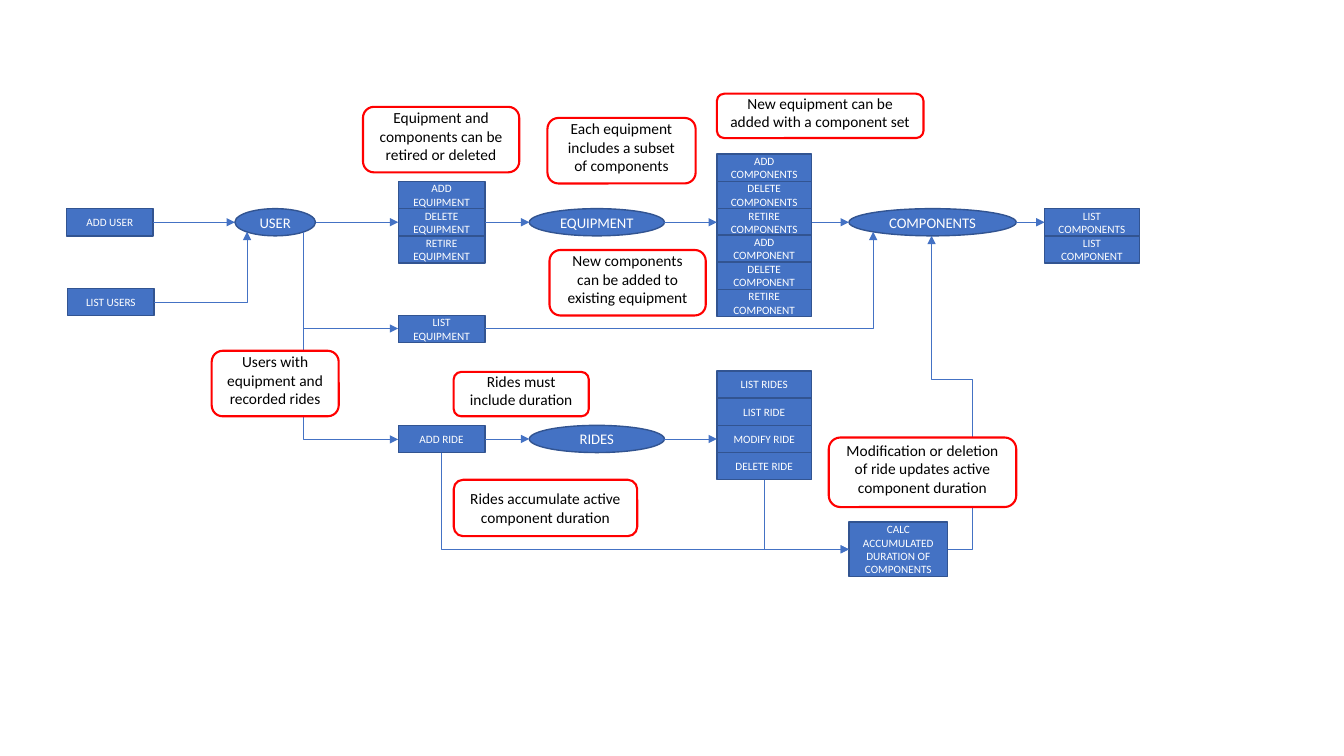
from lxml.etree import SubElement
from pptx import Presentation
from pptx.dml.color import RGBColor
from pptx.enum.shapes import MSO_CONNECTOR, MSO_SHAPE
from pptx.enum.text import MSO_ANCHOR, PP_ALIGN
from pptx.oxml.ns import qn
from pptx.util import Inches, Pt

BLUE, NAVY, RED, WHITE, BLACK = "4472C4", "325491", "FF0000", "FFFFFF", "000000"
ROW_H = 0.27
MAIN_ROW, RIDE_ROW = 2.07, 4.22
EQUIPMENT_X, COMPONENT_X = 3.95, 7.11
EQUIPMENT_W, COMPONENT_W = 0.86, 0.94


def rgb(color):
    return RGBColor.from_string(color)


def add_node(s, kind, text, x, y, w, h, size, fill=BLUE, line=NAVY, weight=1, color=WHITE):
    sp = s.shapes.add_shape(kind, Inches(x), Inches(y), Inches(w), Inches(h))
    sp.shadow.inherit = False
    sp.fill.solid()
    sp.fill.fore_color.rgb = rgb(fill)
    sp.line.color.rgb = rgb(line)
    sp.line.width = Pt(weight)
    tf = sp.text_frame
    tf.word_wrap = True
    tf.vertical_anchor = MSO_ANCHOR.MIDDLE
    p = tf.paragraphs[0]
    p.alignment = PP_ALIGN.CENTER
    r = p.add_run()
    r.text = text
    r.font.name = "Calibri"
    r.font.size = Pt(size)
    r.font.color.rgb = rgb(color)
    return sp


def add_box(s, text, x, y, w=EQUIPMENT_W, h=ROW_H):
    return add_node(s, MSO_SHAPE.RECTANGLE, text, x, y, w, h, 8)


def add_stack(s, labels, x, y, w):
    """Stack boxes downwards without gaps and return them in order."""
    return [add_box(s, label, x, y + i * ROW_H, w) for i, label in enumerate(labels)]


def add_entity(s, text, x, y, w):
    return add_node(s, MSO_SHAPE.OVAL, text, x, y, w, ROW_H, 10.5)


def add_note(s, text, x, y, w, h, bottom=0.12):
    sp = add_node(s, MSO_SHAPE.ROUNDED_RECTANGLE, text, x, y, w, h, 11,
                  WHITE, RED, 1.5, BLACK)
    sp.text_frame.margin_bottom = Inches(bottom)


def style_line(cxn, arrow_end="tailEnd"):
    cxn.line.color.rgb = rgb(BLUE)
    cxn.line.width = Pt(0.5)
    SubElement(cxn.line._get_or_add_ln(), qn("a:" + arrow_end), type="triangle")
    SubElement(cxn._element.spPr, qn("a:effectLst"))


def add_arrow(s, source, target):
    """Level arrow from the right side of source to the left side of target."""
    y = source.top + source.height // 2
    cxn = s.shapes.add_connector(MSO_CONNECTOR.STRAIGHT, source.left + source.width, y,
                                 target.left, y)
    if source.auto_shape_type == MSO_SHAPE.RECTANGLE:
        cxn.begin_connect(source, 3)
    if target.auto_shape_type == MSO_SHAPE.RECTANGLE:
        cxn.end_connect(target, 1)
    style_line(cxn)


def add_bend(s, begin, end, preset="bentConnector2", arrow_end="tailEnd", adjust=()):
    """Bent connector that leaves begin horizontally."""
    points = [Inches(v) for v in (*begin, *end)]
    cxn = s.shapes.add_connector(MSO_CONNECTOR.ELBOW, *points)
    geom = cxn._element.spPr.find(qn("a:prstGeom"))
    geom.set("prst", preset)
    guides = geom.find(qn("a:avLst"))
    if guides is None:
        guides = SubElement(geom, qn("a:avLst"))
    for i, value in enumerate(adjust, 1):
        SubElement(guides, qn("a:gd"), name=f"adj{i}", fmla=f"val {value}")
    style_line(cxn, arrow_end)


def add_main_row(s):
    add_user = add_box(s, "ADD USER", 0.66, MAIN_ROW)
    user = add_entity(s, "USER", 2.33, MAIN_ROW, 0.8)
    equipment_actions = add_stack(
        s, ["ADD EQUIPMENT", "DELETE EQUIPMENT", "RETIRE EQUIPMENT"],
        EQUIPMENT_X, 1.8, EQUIPMENT_W)
    equipment = add_entity(s, "EQUIPMENT", 5.25, MAIN_ROW, 1.34)
    set_actions = add_stack(
        s, ["ADD COMPONENTS", "DELETE COMPONENTS", "RETIRE COMPONENTS"],
        COMPONENT_X, 1.53, COMPONENT_W)
    add_stack(s, ["ADD COMPONENT", "DELETE COMPONENT", "RETIRE COMPONENT"],
              COMPONENT_X, 2.33, COMPONENT_W)
    components = add_entity(s, "COMPONENTS", 8.42, MAIN_ROW, 1.66)
    lists = add_stack(s, ["LIST COMPONENTS", "LIST COMPONENT"], 10.36, MAIN_ROW, COMPONENT_W)
    flow = [add_user, user, equipment_actions[1], equipment, set_actions[2], components, lists[0]]
    for source, target in zip(flow, flow[1:]):
        add_arrow(s, source, target)


def add_ride_row(s):
    add_ride = add_box(s, "ADD RIDE", EQUIPMENT_X, RIDE_ROW)
    rides = add_entity(s, "RIDES", 5.25, RIDE_ROW, 1.34)
    ride_actions = add_stack(s, ["LIST RIDES", "LIST RIDE", "MODIFY RIDE", "DELETE RIDE"],
                             COMPONENT_X, 3.68, COMPONENT_W)
    add_arrow(s, add_ride, rides)
    add_arrow(s, rides, ride_actions[2])


def add_bends(s):
    add_bend(s, (1.53, 3), (2.45, 2.3))
    add_bend(s, (4.81, 3.26), (8.66, 2.3))
    for begin, end in [((EQUIPMENT_X, 4.36), (3.01, 2.3)),
                       ((EQUIPMENT_X, 3.26), (3.01, 2.3)),
                       ((8.42, 5.45), (4.38, 4.49)),
                       ((8.42, 5.45), (7.58, 4.76))]:
        add_bend(s, begin, end, arrow_end="headEnd")
    add_bend(s, (9.4, 5.45), (9.24, 2.34), "bentConnector4", adjust=(-156000, 54300))


def main():
    prs = Presentation()
    prs.slide_width, prs.slide_height = Inches(13.33), Inches(7.5)
    s = prs.slides.add_slide(prs.slide_layouts[6])
    add_main_row(s)
    add_box(s, "LIST USERS", 0.67, 2.86)
    add_box(s, "LIST EQUIPMENT", EQUIPMENT_X, 3.13)
    add_ride_row(s)
    add_box(s, "CALC ACCUMULATED DURATION OF COMPONENTS", 8.42, 5.18, 0.98, 0.54)
    add_bends(s)
    for note in [
        ("Users with equipment and recorded rides", 2.1, 3.48, 1.26, 0.65),
        ("Each equipment includes a subset of components", 5.43, 1.17, 1.47, 0.65),
        ("Equipment and components can be retired or deleted", 3.6, 1.06, 1.55, 0.65),
        ("New components can be added to existing equipment", 5.45, 2.48, 1.55, 0.65),
        ("New equipment can be added with a component set", 7.11, 0.93, 2.05, 0.44),
        ("Rides must include duration", 4.5, 3.69, 1.34, 0.44),
        ("Modification or deletion of ride updates active component duration",
         8.22, 4.34, 1.86, 0.69),
        ("Rides accumulate active component duration", 4.5, 4.76, 1.82, 0.56, 0.05),
    ]:
        add_note(s, *note)
    prs.save("out.pptx")


if __name__ == "__main__":
    main()
